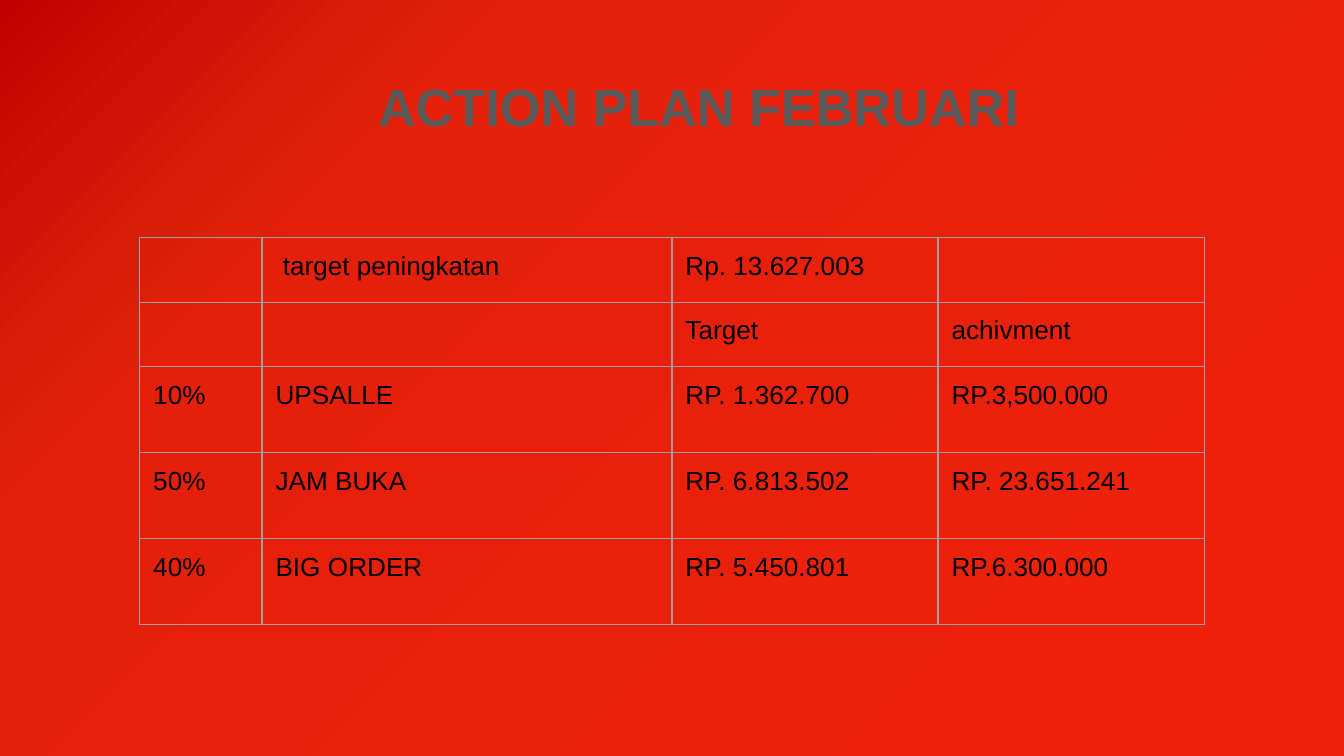
import pptx
import pptx.dml.color
import pptx.enum.text
import pptx.oxml
import pptx.oxml.ns
import pptx.util
from pptx.util import Inches

RGBColor = pptx.dml.color.RGBColor
BLACK = RGBColor(0x00, 0x00, 0x00)
TITLE_GRAY = RGBColor(0x59, 0x59, 0x59)
BORDER_GRAY = RGBColor(0x9E, 0x9E, 0x9E)
BRIGHT_RED = RGBColor(0xF0, 0x22, 0x0B)
MID_RED = RGBColor(0xE4, 0x20, 0x0A)
DEEP_RED = RGBColor(0xD7, 0x1E, 0x08)
DARK_RED = RGBColor(0xC0, 0x00, 0x00)

SLIDE_WIDTH = Inches(10)
SLIDE_HEIGHT = SLIDE_WIDTH * 9 // 16
BACKGROUND_STOPS = [(0, BRIGHT_RED), (74, MID_RED), (82, DEEP_RED), (100, DARK_RED)]
TITLE_FONT = {"name": "Arial", "size": pptx.util.Pt(28), "bold": True}
CELL_FONT = {"name": "Arial", "size": pptx.util.Pt(14), "bold": False}
MARGINS = {f"margin_{side}": Inches(0.1) for side in ("left", "top", "right", "bottom")}

COLUMN_WIDTHS = [0.91, 3.05, 1.98, 1.98]
ROW_HEIGHTS = [0.48, 0.48, 0.64, 0.64, 0.64]
PLAN_ROWS = [
    ["", " target peningkatan", "Rp. 13.627.003", ""],
    ["", "", "Target", "achivment"],
    ["10%", "UPSALLE", "RP. 1.362.700", "RP.3,500.000"],
    ["50%", "JAM BUKA", "RP. 6.813.502", "RP. 23.651.241"],
    ["40%", "BIG ORDER", "RP. 5.450.801", "RP.6.300.000"],
]


def apply_format(target, values):
    for name, value in values.items():
        setattr(target, name, value)


def add_run(p, text, font, color):
    r = p.add_run()
    r.text = text
    apply_format(r.font, font)
    r.font.color.rgb = color


def set_background(s):
    stops = "".join(
        f'<a:gs pos="{pos * 1000}"><a:srgbClr val="{color}"/></a:gs>'
        for pos, color in BACKGROUND_STOPS
    )
    bg = pptx.oxml.parse_xml(
        f'<p:bg {pptx.oxml.ns.nsdecls("p", "a")}><p:bgPr>'
        f'<a:gradFill><a:gsLst>{stops}</a:gsLst>'
        '<a:path path="circle"><a:fillToRect l="100000" t="100000"/></a:path>'
        '</a:gradFill><a:effectLst/></p:bgPr></p:bg>'
    )
    s.element.cSld.insert(0, bg)


def add_title(s, text):
    box = s.shapes.add_textbox(Inches(0.34), Inches(0.38), Inches(9.32), Inches(4.5))
    tf = box.text_frame
    apply_format(tf, {"word_wrap": True, **MARGINS})
    p = tf.paragraphs[0]
    apply_format(p, {"alignment": pptx.enum.text.PP_ALIGN.CENTER, "line_spacing": 1.15})
    p._p.get_or_add_pPr().set("marL", str(Inches(0.5)))
    add_run(p, text, TITLE_FONT, TITLE_GRAY)


def set_borders(cell):
    tcPr = cell._tc.get_or_add_tcPr()
    for index, side in enumerate(("lnL", "lnR", "lnT", "lnB")):
        line = pptx.oxml.parse_xml(
            f'<a:{side} {pptx.oxml.ns.nsdecls("a")} w="{pptx.util.Pt(0.75)}">'
            f'<a:solidFill><a:srgbClr val="{BORDER_GRAY}"/></a:solidFill></a:{side}>'
        )
        tcPr.insert(index, line)


def fill_cell(cell, text):
    apply_format(cell, MARGINS)
    cell.fill.background()
    set_borders(cell)
    p = cell.text_frame.paragraphs[0]
    if text:
        add_run(p, text, CELL_FONT, BLACK)
    else:
        end = pptx.oxml.parse_xml(
            f'<a:endParaRPr {pptx.oxml.ns.nsdecls("a")} sz="1400"/>'
        )
        p._p.append(end)


def add_plan_table(s):
    frame = s.shapes.add_table(
        len(PLAN_ROWS), len(COLUMN_WIDTHS), Inches(1.04), Inches(1.77),
        Inches(sum(COLUMN_WIDTHS)), Inches(sum(ROW_HEIGHTS)),
    )
    table = frame.table
    apply_format(table, {"first_row": False, "horz_banding": False})
    for column, width in zip(table.columns, COLUMN_WIDTHS):
        column.width = Inches(width)
    for row, height, texts in zip(table.rows, ROW_HEIGHTS, PLAN_ROWS):
        row.height = Inches(height)
        for cell, text in zip(row.cells, texts):
            fill_cell(cell, text)


def main():
    prs = pptx.Presentation()
    apply_format(prs, {"slide_width": SLIDE_WIDTH, "slide_height": SLIDE_HEIGHT})
    s = prs.slides.add_slide(prs.slide_layouts[6])
    set_background(s)
    add_title(s, "ACTION PLAN FEBRUARI ")
    add_plan_table(s)
    prs.save("out.pptx")


if __name__ == "__main__":
    main()
